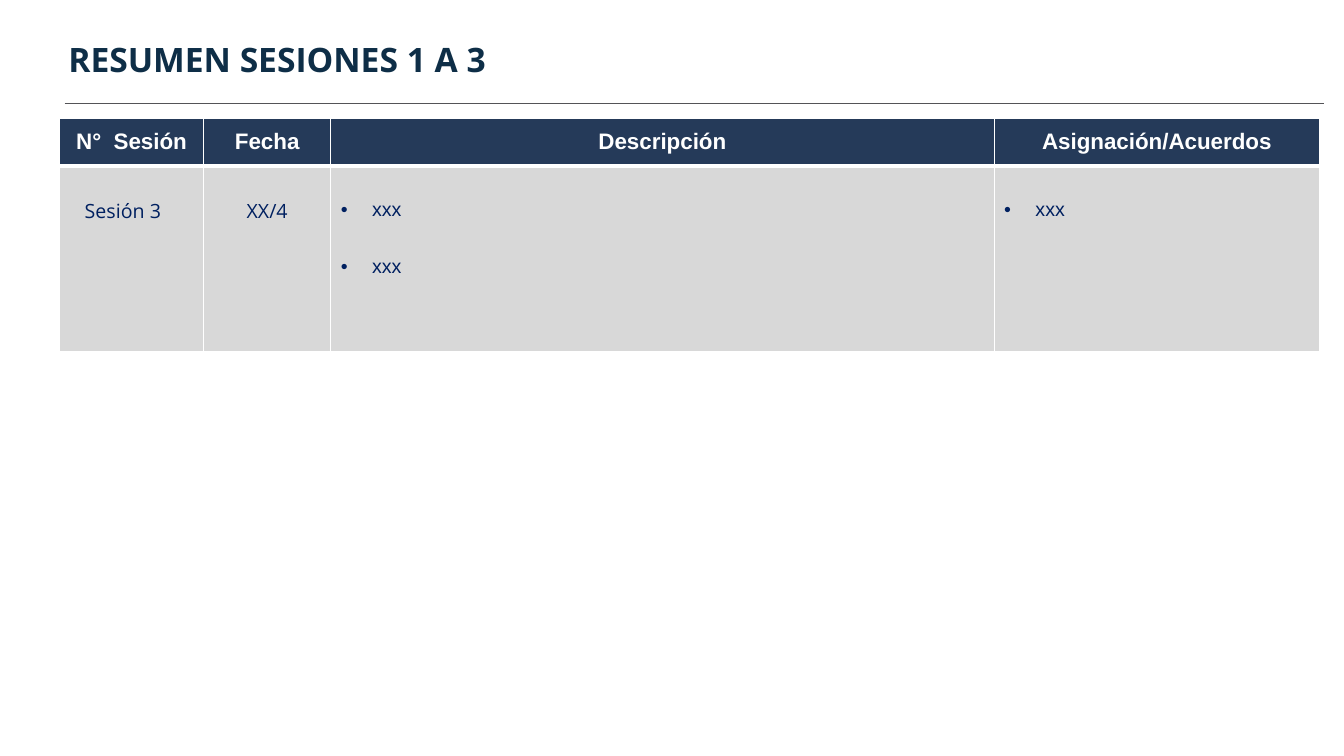
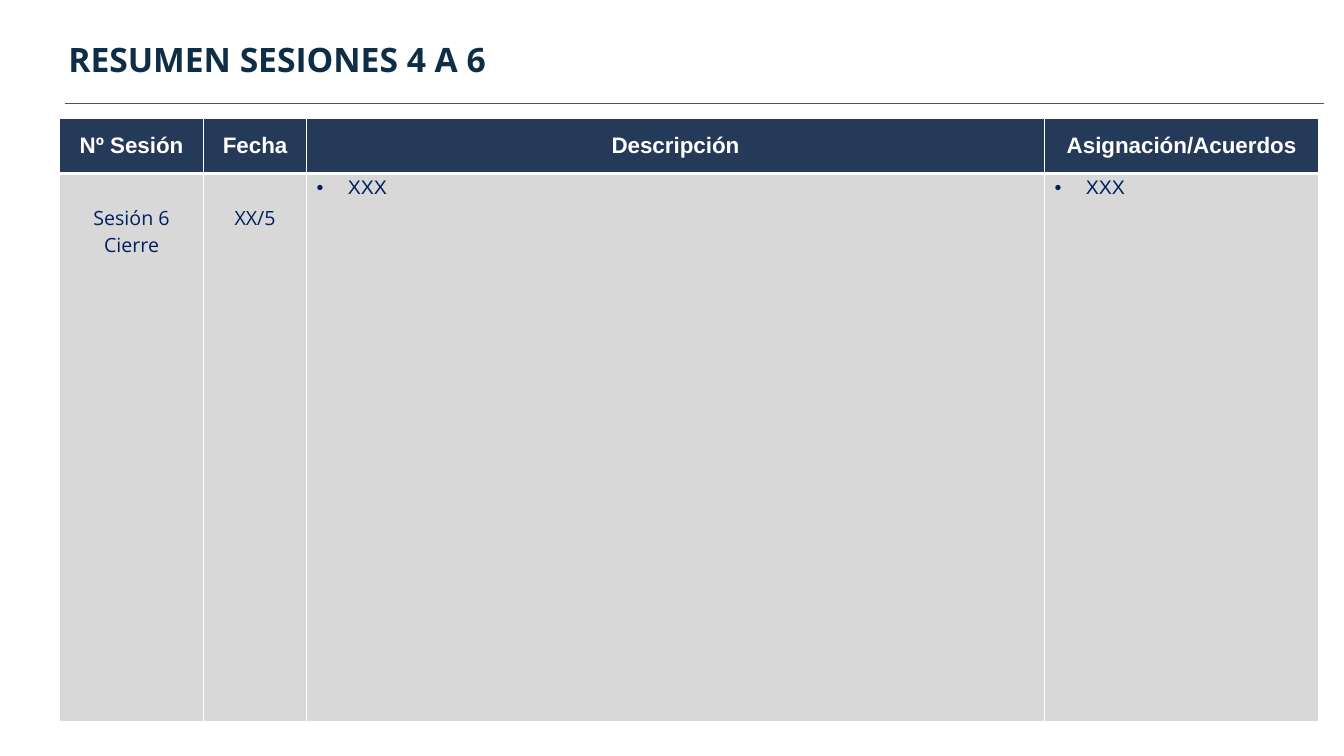
"""Build the two session summary slides."""
from dataclasses import dataclass

from pptx import Presentation, util as u
from pptx.dml.color import RGBColor
from pptx.enum import shapes, text
from pptx.oxml import xmlchemy as x
from pptx.oxml.ns import qn
from pptx.slide import Slide
from pptx.table import _Cell

ALIGN = text.PP_ALIGN


@dataclass(frozen=True)
class Theme:
    title: str = "0E2E47"
    rule: str = "535357"
    header: str = "253A59"
    body: str = "D8D8D8"
    ink: str = "002060"
    white: str = "FFFFFF"
    title_size: int = 24
    header_size: int = 16
    body_size: int = 14
    title_font: str = "Open Sans"
    table_font: str = "Arial"
    thin: float = 1
    thick: float = 3


@dataclass(frozen=True)
class Entry:
    lines: tuple[str, ...]
    top: float = 0.31
    align: ALIGN = ALIGN.CENTER
    indent: float = 0
    bullet: bool = False
    gap: float = 0


@dataclass(frozen=True)
class Summary:
    title: str
    columns: tuple[float, ...]
    rows: tuple[float, float]
    headings: tuple[str, ...]
    entries: tuple[Entry, ...]


T = Theme()

SUMMARIES = (
    Summary(
        "RESUMEN SESIONES 1 A 3",
        (1.43, 1.26, 6.58, 3.23),
        (0.48, 1.84),
        ("N°  Sesión", "Fecha", "Descripción", "Asignación/Acuerdos"),
        (
            Entry(("Sesión 3",), align=ALIGN.LEFT, indent=0.15),
            Entry(("XX/4",)),
            Entry(("xxx", "xxx"), 0.34, ALIGN.JUSTIFY, bullet=True, gap=26),
            Entry(("xxx",), 0.34, ALIGN.JUSTIFY, bullet=True),
        ),
    ),
    Summary(
        "RESUMEN SESIONES 4 A 6",
        (1.43, 1.02, 7.32, 2.72),
        (0.55, 5.44),
        ("Nº Sesión", "Fecha", "Descripción", "Asignación/Acuerdos"),
        (
            Entry(("Sesión 6", "Cierre")),
            Entry(("XX/5",)),
            Entry(("XXX",), 0.05, ALIGN.JUSTIFY, bullet=True),
            Entry(("XXX",), 0.05, ALIGN.JUSTIFY, bullet=True),
        ),
    ),
)


def child(parent: x.BaseOxmlElement, tag: str, **attrs: str) -> x.BaseOxmlElement:
    """Append a DrawingML element to its parent."""
    el = parent.makeelement(qn(tag), attrs)
    parent.append(el)
    return el


def style(p: text, font: str, size: int, color: str, bold: bool) -> None:
    """Format every run of a paragraph."""
    for r in p.runs:
        r.font.name = font
        r.font.size = u.Pt(size)
        r.font.bold = bold
        r.font.color.rgb = RGBColor.from_string(color)


def add_bullet(p: text) -> None:
    """Give a paragraph a hanging round bullet."""
    p.line_spacing = 0.93
    pPr = p._p.get_or_add_pPr()
    pPr.set("marL", str(u.Inches(0.31)))
    pPr.set("indent", str(-u.Inches(0.31)))
    child(child(pPr, "a:buClr"), "a:srgbClr", val=T.ink)
    child(pPr, "a:buFont", typeface=T.table_font)
    child(pPr, "a:buChar", char="•")


def paint_cell(cell: _Cell, color: str, top: float, bottom: float) -> None:
    """Fill a cell and draw its white borders."""
    cell.fill.solid()
    cell.fill.fore_color.rgb = RGBColor.from_string(color)
    tcPr = cell._tc.get_or_add_tcPr()
    widths = {"a:lnL": T.thin, "a:lnR": T.thin, "a:lnT": top, "a:lnB": bottom}
    for i, (tag, width) in enumerate(widths.items()):
        ln = child(tcPr, tag, w=str(u.Pt(width)))
        child(child(ln, "a:solidFill"), "a:srgbClr", val=T.white)
        tcPr.insert(i, ln)


def fill_heading(cell: _Cell, heading: str) -> None:
    """Write one heading cell."""
    paint_cell(cell, T.header, T.thin, T.thick)
    cell.vertical_anchor = text.MSO_ANCHOR.MIDDLE
    cell.text_frame.text = heading
    p = cell.text_frame.paragraphs[0]
    p.alignment = ALIGN.CENTER
    style(p, T.table_font, T.header_size, T.white, True)


def fill_entry(cell: _Cell, entry: Entry) -> None:
    """Write one body cell."""
    paint_cell(cell, T.body, T.thick, T.thin)
    cell.margin_top = u.Inches(entry.top)
    cell.margin_left = u.Inches(0.1 + entry.indent)
    tf = cell.text_frame
    tf.text = "\n".join(entry.lines)
    for i, p in enumerate(tf.paragraphs):
        p.alignment = entry.align
        if i and entry.gap:
            p.space_before = u.Pt(entry.gap)
        if entry.bullet:
            add_bullet(p)
        font = T.table_font if entry.bullet else T.title_font
        style(p, font, T.body_size, T.ink, False)


def add_heading(s: Slide, title: str) -> None:
    """Draw the title and the rule below it."""
    rule = s.shapes.add_connector(
        shapes.MSO_CONNECTOR.STRAIGHT,
        u.Inches(0.64), u.Inches(1.03), u.Inches(13.13), u.Inches(1.03),
    )
    rule.line.color.rgb = RGBColor.from_string(T.rule)
    rule.line.width = u.Pt(0.75)
    child(rule._element.spPr, "a:effectLst")
    sp = s.shapes.add_textbox(
        u.Inches(0.58), u.Inches(0.34), u.Inches(5.53), u.Inches(0.5)
    )
    tf = sp.text_frame
    tf.word_wrap = True
    tf.auto_size = text.MSO_AUTO_SIZE.SHAPE_TO_FIT_TEXT
    tf.text = title
    style(tf.paragraphs[0], T.title_font, T.title_size, T.title, True)


def add_summary(s: Slide, summary: Summary) -> None:
    """Draw the session table."""
    table = s.shapes.add_table(
        len(summary.rows), len(summary.columns),
        u.Inches(0.59), u.Inches(1.17),
        u.Inches(sum(summary.columns)), u.Inches(sum(summary.rows)),
    ).table
    table.horz_banding = False
    for row, height in zip(table.rows, summary.rows):
        row.height = u.Inches(height)
    for i, width in enumerate(summary.columns):
        table.columns[i].width = u.Inches(width)
        fill_heading(table.cell(0, i), summary.headings[i])
        fill_entry(table.cell(1, i), summary.entries[i])


def main() -> None:
    """Build and save the presentation."""
    prs = Presentation()
    prs.slide_width = u.Inches(13.33)
    prs.slide_height = u.Inches(7.5)
    for summary in SUMMARIES:
        s = prs.slides.add_slide(prs.slide_layouts[6])
        add_heading(s, summary.title)
        add_summary(s, summary)
    prs.save("out.pptx")


if __name__ == "__main__":
    main()
